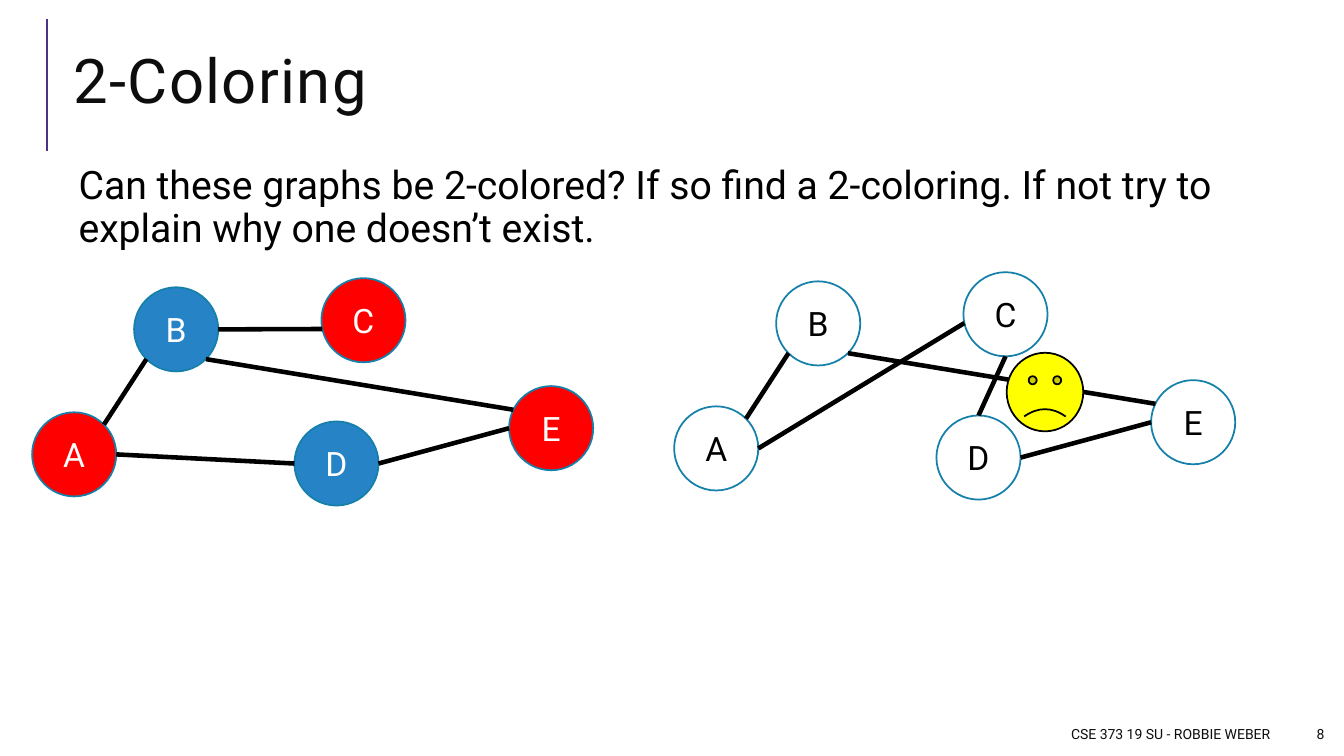
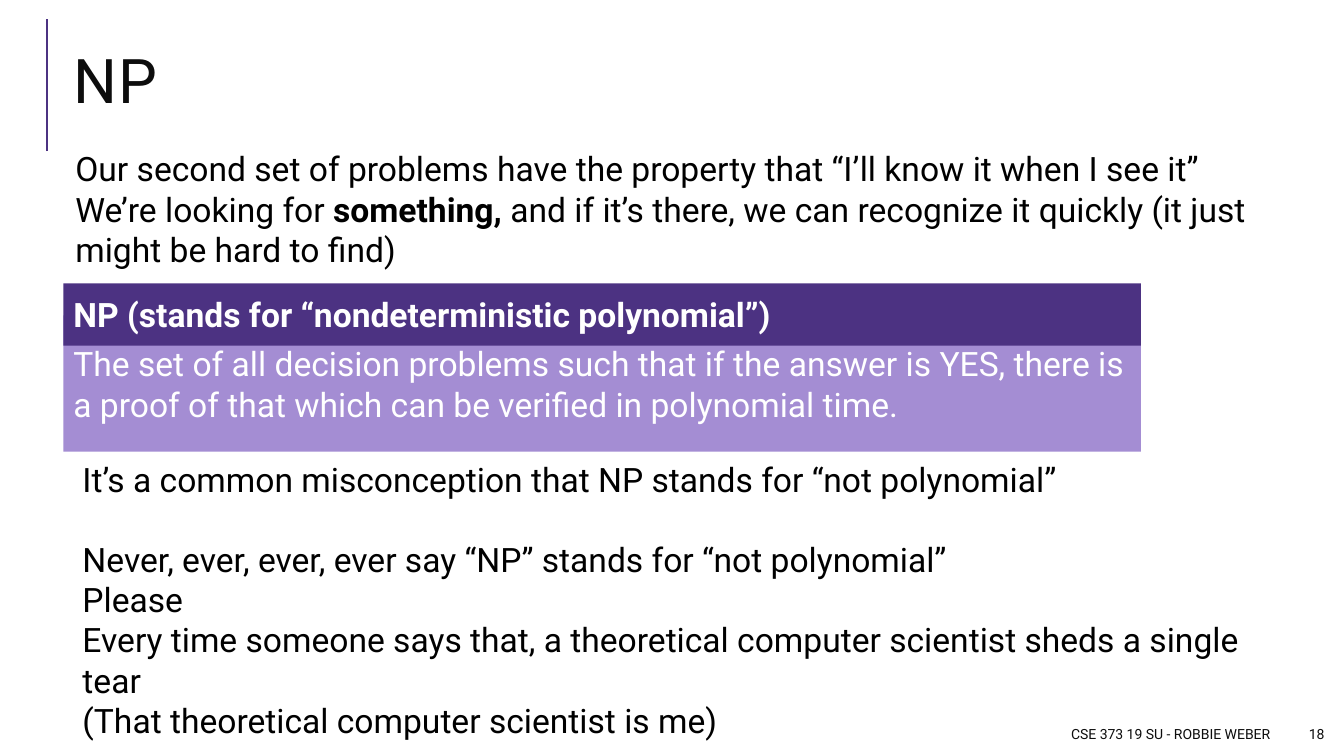
"""Build two lecture slides on 2-coloring and NP."""
from dataclasses import dataclass
from math import cos, radians, sin

from lxml.etree import SubElement
from pptx import Presentation
from pptx.dml.color import RGBColor
from pptx.enum.shapes import MSO_CONNECTOR, MSO_SHAPE
from pptx.enum.text import MSO_ANCHOR, PP_ALIGN
from pptx.oxml.ns import qn
from pptx.shapes.autoshape import Shape
from pptx.slide import Slide
from pptx.util import Cm, Pt

FONT = "Roboto"
BLACK, WHITE, INK = "000000", "FFFFFF", "0D0D0D"
PURPLE, LILAC = "4C3282", "A48DD3"
RED, BLUE, RIM, YELLOW = "FF0000", "2683C6", "1580A9", "FFFF00"
SIZE = 2.12
INSET = 0.25


@dataclass(frozen=True)
class Box:
    left: float
    top: float
    width: float
    height: float


@dataclass(frozen=True)
class Node:
    name: str
    left: float
    top: float
    fill: str


@dataclass(frozen=True)
class Edge:
    start: str
    angle: float
    end: str
    finish: float


NODES = (
    Node("B", 3.38, 7.24, BLUE),
    Node("D", 7.42, 10.62, BLUE),
    Node("E", 12.83, 9.73, RED),
    Node("A", 0.81, 10.39, RED),
    Node("C", 8.1, 7.01, RED),
)
SHARED = (
    Edge("E", 206, "B", 45),
    Edge("D", 0, "E", 180),
    Edge("A", 315, "B", 135),
)
LEFT = SHARED + (Edge("B", 0, "C", 168), Edge("A", 0, "D", 180))
RIGHT = SHARED + (Edge("A", 0, "C", 168), Edge("C", 90, "D", 270))


def tint(code: str) -> RGBColor:
    return RGBColor.from_string(code)


def write(shape: Shape, *lines: str, size: float = 24, color: str = BLACK,
          bold: bool = False, align: PP_ALIGN = PP_ALIGN.LEFT,
          anchor: MSO_ANCHOR = MSO_ANCHOR.TOP, pitch: float | None = None,
          track: int = 0, gaps: dict[int, float] | None = None) -> None:
    frame = shape.text_frame
    frame.word_wrap = True
    frame.vertical_anchor = anchor
    for row, line in enumerate(lines):
        para = frame.paragraphs[0] if row == 0 else frame.add_paragraph()
        para.alignment = align
        para.line_spacing = pitch
        if gaps and row in gaps:
            para.space_before = Pt(gaps[row])
        for part, text in enumerate(line.split("**")):
            run = para.add_run()
            run.text = text
            font = run.font
            font.name, font.size = FONT, Pt(size)
            font.bold = bold or part % 2 == 1
            font.color.rgb = tint(color)
            if track:
                font._element.set("spc", str(track))


def label(slide: Slide, box: Box, *lines: str, **style) -> Shape:
    shape = slide.shapes.add_textbox(
        Cm(box.left), Cm(box.top), Cm(box.width), Cm(box.height))
    write(shape, *lines, **style)
    return shape


def draw(slide: Slide, kind: MSO_SHAPE, box: Box, fill: str,
         line: str | None = None) -> Shape:
    shape = slide.shapes.add_shape(
        kind, Cm(box.left), Cm(box.top), Cm(box.width), Cm(box.height))
    shape.shadow.inherit = False
    shape.fill.solid()
    shape.fill.fore_color.rgb = tint(fill)
    if line:
        shape.line.color.rgb = tint(line)
        shape.line.width = Pt(1.25)
    else:
        shape.line.fill.background()
    return shape


def link(slide: Slide, start: tuple[float, float], end: tuple[float, float],
         color: str, width: float) -> None:
    line = slide.shapes.add_connector(
        MSO_CONNECTOR.STRAIGHT, *(Cm(value) for value in start + end))
    line.line.color.rgb = tint(color)
    line.line.width = Pt(width)
    SubElement(line._element.spPr, qn("a:effectLst"))


def rim(box: Box, angle: float) -> tuple[float, float]:
    half, turn = box.width / 2, radians(angle)
    return (box.left + half * (1 + cos(turn)),
            box.top + half * (1 + sin(turn)))


def graph(slide: Slide, edges: tuple[Edge, ...], right: float = 0,
          down: float = 0, plain: bool = False) -> None:
    spots = {}
    for node in NODES:
        box = Box(node.left + right, node.top + down, SIZE, SIZE)
        spots[node.name] = box
        disc = draw(slide, MSO_SHAPE.OVAL, box,
                    WHITE if plain else node.fill, RIM)
        write(disc, node.name, color=BLACK if plain else WHITE,
              align=PP_ALIGN.CENTER, anchor=MSO_ANCHOR.MIDDLE)
    for edge in edges:
        link(slide, rim(spots[edge.start], edge.angle),
             rim(spots[edge.end], edge.finish), BLACK, 3.25)


def start(deck: Presentation, title: str, number: int) -> Slide:
    slide = deck.slides.add_slide(deck.slide_layouts[6])
    link(slide, (1.19, 3.81), (1.19, 0.48), PURPLE, 1.5)
    label(slide, Box(1.6, 0.74, 31.06, 2.82), title, size=44, color=INK,
          anchor=MSO_ANCHOR.MIDDLE, pitch=0.8, track=100)
    for left, width, text in ((15.88, 16.38, "CSE 373 19 SU - ROBBIE WEBER"),
                              (32.46, 1.17, str(number))):
        label(slide, Box(left, 18.11, width, 0.76), text, size=10, color=INK,
              align=PP_ALIGN.RIGHT, anchor=MSO_ANCHOR.MIDDLE)
    return slide


def color(deck: Presentation) -> None:
    slide = start(deck, "2-Coloring", 8)
    body = label(slide, Box(1.6, 4.06, 31.06, 2.44),
                 "Can these graphs be 2-colored? If so find a 2-coloring. "
                 "If not try to explain why one doesn’t exist.",
                 size=28, pitch=0.9)
    body.text_frame.margin_left = Cm(0.38)
    body.text_frame.margin_right = body.text_frame.margin_top = Cm(INSET / 2)
    graph(slide, LEFT)
    graph(slide, RIGHT, right=16.18, down=-0.15, plain=True)
    face = draw(slide, MSO_SHAPE.SMILEY_FACE, Box(25.37, 8.89, 1.93, 1.98),
                YELLOW, BLACK)
    face.adjustments[0] = -0.05


def proof(deck: Presentation) -> None:
    slide = start(deck, "NP", 18)
    panel = draw(slide, MSO_SHAPE.RECTANGLE, Box(1.6, 7.95, 27.15, 3.43), LILAC)
    write(panel, "The set of all decision problems such that if the answer is "
          "YES, there is a proof of that which can be verified in polynomial "
          "time.", color=WHITE, anchor=MSO_ANCHOR.MIDDLE)
    head = draw(slide, MSO_SHAPE.RECTANGLE, Box(1.6, 7.14, 27.15, 1.57), PURPLE)
    write(head, "NP (stands for “nondeterministic polynomial”)", color=WHITE,
          bold=True, anchor=MSO_ANCHOR.MIDDLE)
    label(slide, Box(1.83, 11.43, 30.86, 7.44),
          "It’s a common misconception that NP stands for “not polynomial”",
          "Never, ever, ever, ever say “NP” stands for “not polynomial”",
          "Please",
          "Every time someone says that, a theoretical computer scientist "
          "sheds a single tear",
          "(That theoretical computer scientist is me)", gaps={1: 28.5})
    label(slide, Box(1.65, 3.61, 30.63, 3.33),
          "Our second set of problems have the property that “I’ll know it "
          "when I see it”",
          "We’re looking for **something, **and if it’s there, we can "
          "recognize it quickly (it just might be hard to find)")


def main() -> None:
    deck = Presentation()
    deck.slide_width, deck.slide_height = Cm(33.87), Cm(19.05)
    color(deck)
    proof(deck)
    deck.save("out.pptx")


if __name__ == "__main__":
    main()
